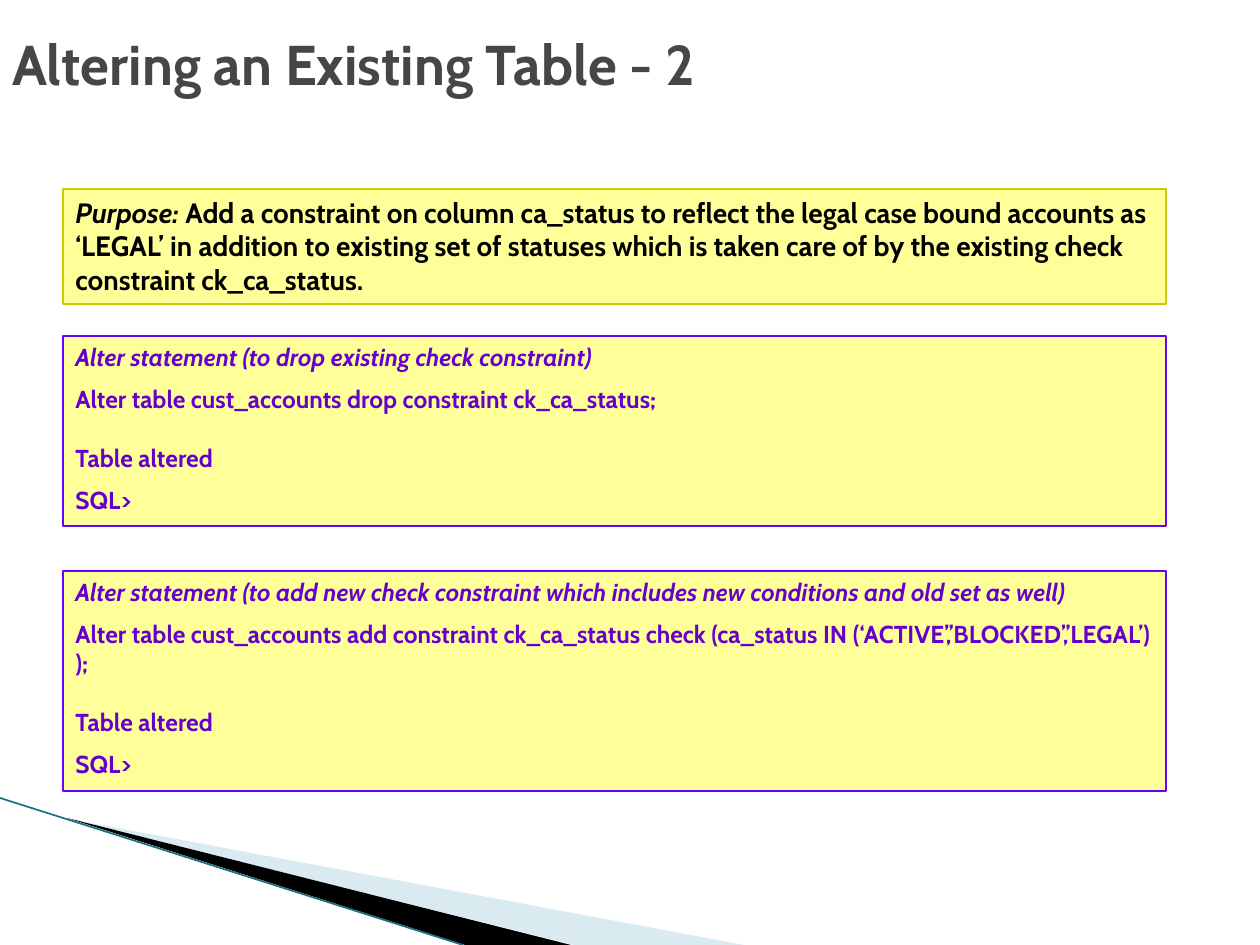
from dataclasses import dataclass

from lxml import etree
from pptx import Presentation
from pptx import util as u
from pptx.dml.color import RGBColor
from pptx.enum import shapes, text
from pptx.oxml.ns import qn

PX = 914400 / 126
PAGE_W, PAGE_H = 1260, 945


@dataclass(frozen=True)
class Theme:
    font: str = "Cabin"
    title: str = "464646"
    note: str = "000000"
    code: str = "6600CC"
    panel: str = "FFFF99"
    note_edge: str = "CCCC00"
    code_edge: str = "6600FF"
    wedge_light: str = "A0CBDC"
    wedge_dark: str = "000000"
    sweep: str = "1B6F82"
    title_size: int = 32
    note_size: int = 16
    code_size: int = 14


THEME = Theme()
TITLE = "Altering an Existing Table - 2"
PANEL_LEFT, PANEL_WIDTH = 63, 1103
REPLY_GAP = 17  # points: one empty line of code

PURPOSE = [
    (0, [("Purpose: ", True),
         ("Add a constraint on column ca_status to reflect the legal case bound accounts "
          "as ‘LEGAL’ in addition to existing set of statuses which is taken care of by "
          "the existing check constraint ck_ca_status.", False)]),
]


def session(heading, statement):
    """Paragraphs of an SQL session as (space before, [(words, italic)])."""
    step = THEME.code_size / 2
    return [
        (0, [(heading, True)]),
        (step, [(statement, False)]),
        (REPLY_GAP, [("Table altered", False)]),
        (step, [("SQL>", False)]),
    ]


DROP = session("Alter statement (to drop existing check constraint)",
               "Alter table cust_accounts drop constraint ck_ca_status;")
ADD = session("Alter statement (to add new check constraint which includes new conditions "
              "and old set as well)",
              "Alter table cust_accounts add constraint ck_ca_status check "
              "(ca_status IN (‘ACTIVE’,’BLOCKED’,’LEGAL’) );")

# top, height, paragraphs, type size, text colour, edge colour
PANELS = [
    (189, 115, PURPOSE, THEME.note_size, THEME.note, THEME.note_edge),
    (336, 190, DROP, THEME.code_size, THEME.code, THEME.code_edge),
    (571, 220, ADD, THEME.code_size, THEME.code, THEME.code_edge),
]

# corners, colour, opacity in percent
WEDGES = [
    ([(69, 819), (744, PAGE_H), (574, PAGE_H)], THEME.wedge_light, 40),
    ([(67, 818), (571, PAGE_H), (465, PAGE_H)], THEME.wedge_dark, 100),
]
SWEEP = [(0, 798), (463, PAGE_H)]


def px(*lengths):
    return [u.Emu(round(length * PX)) for length in lengths]


def rgb(colour):
    return RGBColor.from_string(colour)


def set_font(font, size, colour):
    font.name, font.size, font.bold = THEME.font, u.Pt(size), True
    font.color.rgb = rgb(colour)


def add_wedge(page, corners, colour, opacity):
    builder = page.shapes.build_freeform(*corners[0], scale=PX)
    builder.add_line_segments(corners[1:], close=True)
    wedge = builder.convert_to_shape()
    wedge.shadow.inherit = False
    wedge.fill.solid()
    wedge.fill.fore_color.rgb = rgb(colour)
    wedge.line.fill.background()
    if opacity < 100:
        tint = wedge.fill._xPr.find(qn("a:solidFill"))[0]
        etree.SubElement(tint, qn("a:alpha")).set("val", str(opacity * 1000))


def add_sweep(page):
    start, end = SWEEP
    line = page.shapes.add_connector(shapes.MSO_CONNECTOR.STRAIGHT, *px(*start, *end))
    line.line.color.rgb = rgb(THEME.sweep)
    line.line.width = u.Pt(0.95)
    etree.SubElement(line._element.spPr, qn("a:effectLst"))


def add_title(page):
    box = page.shapes.add_textbox(*px(0, 0, 1042, 126))
    frame = box.text_frame
    frame.word_wrap = True
    frame.vertical_anchor = text.MSO_ANCHOR.MIDDLE
    frame.text = TITLE
    set_font(frame.paragraphs[0].font, THEME.title_size, THEME.title)


def add_panel(page, top, height, paragraphs, size, colour, edge):
    box = page.shapes.add_shape(shapes.MSO_SHAPE.RECTANGLE,
                                *px(PANEL_LEFT, top, PANEL_WIDTH, height))
    box.shadow.inherit = False
    box.fill.solid()
    box.fill.fore_color.rgb = rgb(THEME.panel)
    box.line.color.rgb = rgb(edge)
    box.line.width = u.Pt(0.75)
    frame = box.text_frame
    frame.word_wrap = True
    frame.vertical_anchor = text.MSO_ANCHOR.TOP
    for index, (gap, spans) in enumerate(paragraphs):
        para = frame.add_paragraph() if index else frame.paragraphs[0]
        para.alignment = text.PP_ALIGN.LEFT
        if gap:
            para.space_before = u.Pt(gap)
        set_font(para.font, size, colour)
        for words, italic in spans:
            span = para.add_run()
            span.text = words
            span.font.italic = italic


def main():
    deck = Presentation()
    deck.slide_width, deck.slide_height = px(PAGE_W, PAGE_H)
    page = deck.slides.add_slide(deck.slide_layouts[6])
    for wedge in WEDGES:
        add_wedge(page, *wedge)
    add_sweep(page)
    add_title(page)
    for panel in PANELS:
        add_panel(page, *panel)
    deck.save("out.pptx")


if __name__ == "__main__":
    main()
